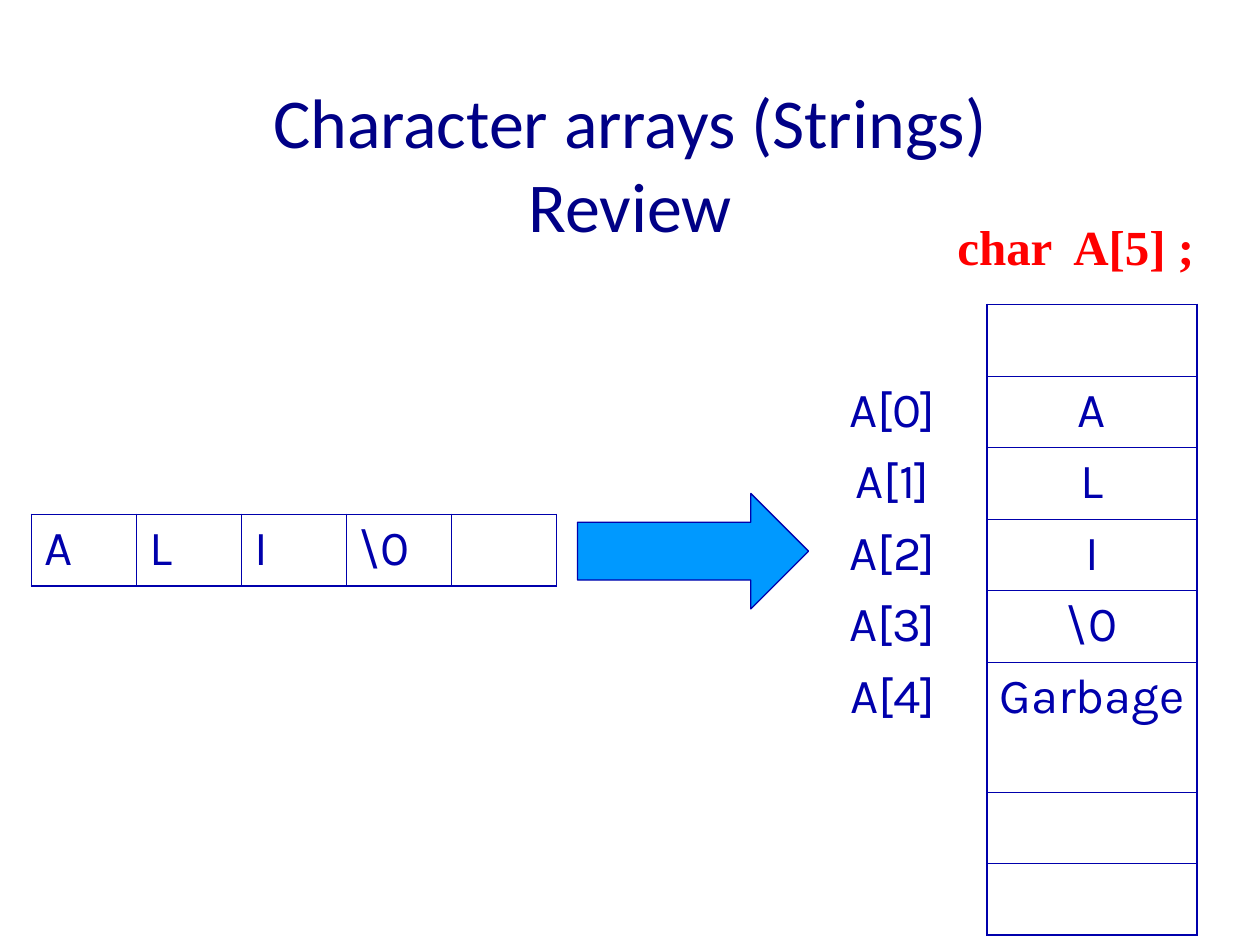
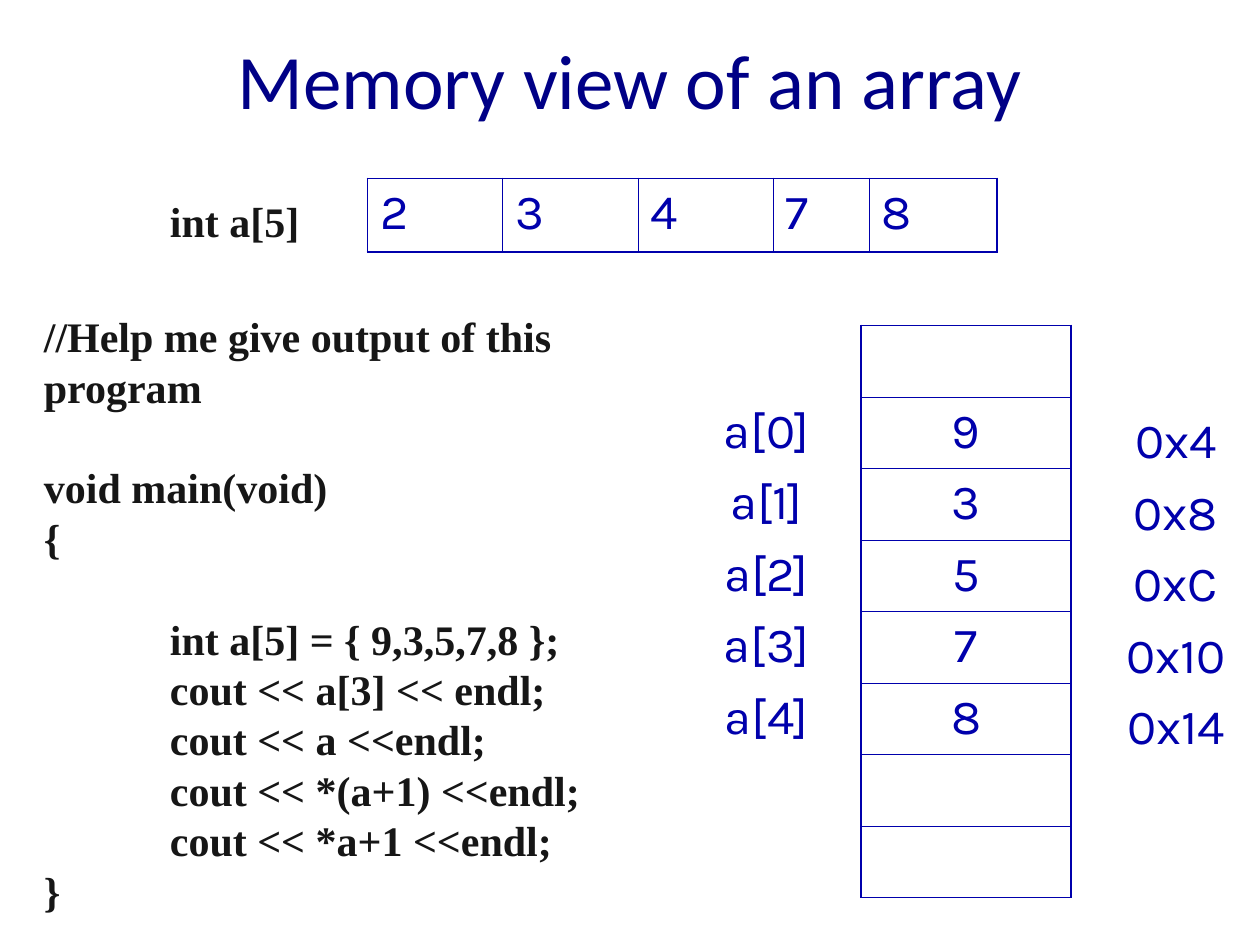
from lxml.etree import SubElement
from pptx import Presentation
from pptx.dml.color import RGBColor
from pptx.enum.shapes import MSO_SHAPE
from pptx.enum.text import MSO_ANCHOR, MSO_AUTO_SIZE, PP_ALIGN
from pptx.oxml.ns import qn
from pptx.util import Pt

COLORS = {"title": "000086", "cell": "0000AC", "arrow": "0099FF",
          "declaration": "FF0000", "code": "161616"}
TITLE_FONT, CELL_FONT, CODE_FONT = "Calibri", "Karla", "Times New Roman"
OUTER_LINE, INNER_LINE = 1.08, 0.45
ROW_HEIGHT = 40.85
MEMORY_WIDTH, LABEL_WIDTH = 120, 96
MEMORY_ROWS = 8
CODE_TAB = 72

# Content: each memory column leaves its first row and last two rows empty
STRING_CELLS = ["A", "L", "I", "\\0", ""]
STRING_MEMORY = ["A", "L", "I", "\\0", "Garbage"]
STRING_LABELS = [f"A[{index}]" for index in range(5)]
ARRAY_CELLS = ["2", "3", "4", "7", "8"]
ARRAY_MEMORY = ["9", "3", "5", "7", "8"]
ARRAY_LABELS = [f"a[{index}]" for index in range(5)]
ADDRESSES = ["0x4", "0x8", "0xC", "0x10", "0x14"]

# Program groups are separated by one empty line
PROGRAM = [
    ["//Help me give output of this program"],
    ["void main(void)", "{"],
    ["\tint a[5] = { 9,3,5,7,8 };", "\tcout << a[3] << endl;",
     "\tcout << a <<endl;", "\tcout << *(a+1) <<endl;",
     "\tcout << *a+1 <<endl;", "}"],
]


def color(name):
    return RGBColor.from_string(COLORS[name])


def format_runs(paragraph, font_name, size, color_name, bold=False):
    for run in paragraph.runs:
        run.font.name = font_name
        run.font.size = Pt(size)
        run.font.bold = bold
        run.font.color.rgb = color(color_name)


def add_titled_slide(presentation, text, top, size):
    slide = presentation.slides.add_slide(presentation.slide_layouts[5])
    title = slide.shapes.title
    title.left, title.top, title.width, title.height = Pt(0), Pt(top), Pt(720), Pt(90)
    text_frame = title.text_frame
    text_frame.text = text
    text_frame.auto_size = MSO_AUTO_SIZE.NONE
    text_frame.vertical_anchor = MSO_ANCHOR.MIDDLE
    paragraph = text_frame.paragraphs[0]
    paragraph.alignment = PP_ALIGN.CENTER
    format_runs(paragraph, TITLE_FONT, size, "title")
    return slide


def set_borders(cell, widths):
    """Widths run left, right, top, bottom; None draws no line."""
    properties = cell._tc.get_or_add_tcPr()
    for position, (side, width) in enumerate(zip("LRTB", widths)):
        line = SubElement(properties, qn(f"a:ln{side}"))
        if width is None:
            SubElement(line, qn("a:noFill"))
        else:
            line.set("w", str(Pt(width)))
            fill = SubElement(line, qn("a:solidFill"))
            SubElement(fill, qn("a:srgbClr")).set("val", COLORS["cell"])
        properties.insert(position, line)


def add_grid(slide, left, top, rows, widths, heights, alignment, bordered=True):
    table = slide.shapes.add_table(len(heights), len(widths), Pt(left), Pt(top),
                                   Pt(sum(widths)), Pt(sum(heights))).table
    table.first_row = table.horz_banding = False
    for column, width in zip(table.columns, widths):
        column.width = Pt(width)
    for row, height in zip(table.rows, heights):
        row.height = Pt(height)

    def edge(is_outer):
        if not bordered:
            return None
        return OUTER_LINE if is_outer else INNER_LINE

    last_row, last_column = len(heights) - 1, len(widths) - 1
    for row_index, row in enumerate(rows):
        for column_index, text in enumerate(row):
            cell = table.cell(row_index, column_index)
            cell.fill.background()
            set_borders(cell, [edge(column_index == 0), edge(column_index == last_column),
                               edge(row_index == 0), edge(row_index == last_row)])
            if text:
                cell.text_frame.text = text
                paragraph = cell.text_frame.paragraphs[0]
                paragraph.alignment = alignment
                format_runs(paragraph, CELL_FONT, 28, "cell")


def add_strip(slide, left, top, values, widths, height):
    add_grid(slide, left, top, [values], widths, [height], PP_ALIGN.LEFT)


def add_column(slide, left, top, values, width, bordered, tall_rows=None):
    rows = [[text] for text in ["", *values, "", ""]]
    heights = [(tall_rows or {}).get(index, ROW_HEIGHT) for index in range(MEMORY_ROWS)]
    add_grid(slide, left, top, rows, [width], heights, PP_ALIGN.CENTER, bordered)


def set_code_tab(paragraph):
    tab_list = SubElement(paragraph._p.get_or_add_pPr(), qn("a:tabLst"))
    tab = SubElement(tab_list, qn("a:tab"))
    tab.set("pos", str(Pt(CODE_TAB)))
    tab.set("algn", "l")


def add_code(slide, left, top, width, height, groups, size, color_name, wrap=True):
    text_frame = slide.shapes.add_textbox(Pt(left), Pt(top), Pt(width), Pt(height)).text_frame
    text_frame.word_wrap = wrap
    line_height = size * 1.2
    text_frame.text = "\n".join(line for group in groups for line in group)
    paragraphs = iter(text_frame.paragraphs)
    for group_index, group in enumerate(groups):
        for line_index, line in enumerate(group):
            paragraph = next(paragraphs)
            if line.startswith("\t"):
                set_code_tab(paragraph)
            paragraph.line_spacing = Pt(line_height)
            if group_index and line_index == 0:
                paragraph.space_before = Pt(line_height)
            format_runs(paragraph, CODE_FONT, size, color_name, bold=True)


def build_strings_slide(presentation):
    slide = add_titled_slide(presentation, "Character arrays (Strings)\vReview", 48, 40)
    add_strip(slide, 18, 294, STRING_CELLS, [60] * 5, ROW_HEIGHT)
    add_column(slide, 564, 174, STRING_MEMORY, MEMORY_WIDTH, True, {5: 74.4})
    add_column(slide, 462, 174, STRING_LABELS, LABEL_WIDTH, False)

    # Arrow from the string to its place in memory
    arrow = slide.shapes.add_shape(MSO_SHAPE.RIGHT_ARROW, Pt(330), Pt(282), Pt(132), Pt(66))
    arrow.shadow.inherit = False
    arrow.fill.solid()
    arrow.fill.fore_color.rgb = color("arrow")
    arrow.line.color.rgb = color("cell")
    arrow.line.width = Pt(0.75)

    add_code(slide, 540, 120, 158.4, 41, [["char  A[5] ;"]], 28, "declaration", wrap=False)


def build_memory_slide(presentation):
    slide = add_titled_slide(presentation, "Memory view of an array", 0, 44)
    add_strip(slide, 210, 102, ARRAY_CELLS, [77.3, 77.3, 77.3, 54.8, 73.3], 42)
    add_column(slide, 492, 186, ARRAY_MEMORY, MEMORY_WIDTH, True)
    add_column(slide, 390, 186, ARRAY_LABELS, LABEL_WIDTH, False)

    # Declaration and program
    add_code(slide, 90, 108, 148, 36, [["int a[5]"]], 24, "code")
    add_code(slide, 18, 174, 378, 352.8, PROGRAM, 24, "code")

    add_column(slide, 624, 192, ADDRESSES, LABEL_WIDTH, False)


def main():
    presentation = Presentation()
    presentation.slide_width, presentation.slide_height = Pt(720), Pt(540)
    build_strings_slide(presentation)
    build_memory_slide(presentation)
    presentation.save("out.pptx")


if __name__ == "__main__":
    main()
